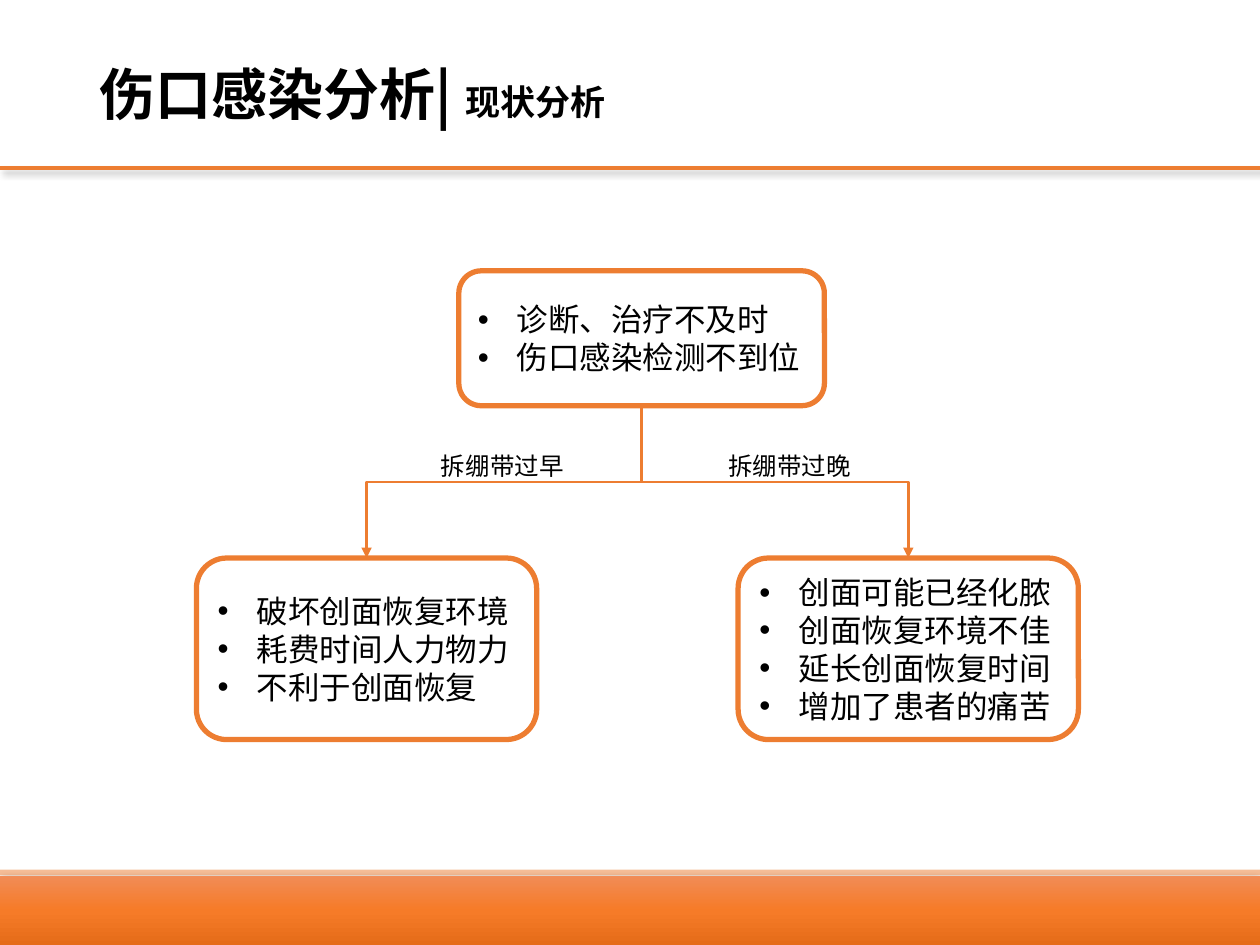
from copy import deepcopy
from dataclasses import dataclass

from lxml.etree import SubElement
from pptx import Presentation
from pptx.dml.color import RGBColor
from pptx.enum.shapes import MSO_CONNECTOR, MSO_SHAPE
from pptx.enum.text import MSO_ANCHOR, MSO_AUTO_SIZE, PP_ALIGN
from pptx.oxml.ns import qn
from pptx.util import Cm, Pt

TITLE_ONLY = 5
BOTTOM_SITE, TOP_SITE = 2, 0


@dataclass(frozen=True)
class Theme:
    accent: str = "ED7D31"
    ink: str = "000000"
    paper: str = "FFFFFF"
    footer_stops: tuple = ((0, "F18C57"), (0.5, "F67B28"), (1, "E56C19"))
    latin: str = "Calibri"
    chinese: str = "Noto Sans CJK SC"
    title_size: int = 32
    subtitle_size: int = 20
    body_size: int = 18
    label_size: int = 14


def rgb(value):
    return RGBColor.from_string(value)


class SlideBuilder:
    def __init__(self, page, theme):
        self.page = page
        self.theme = theme

    def style_span(self, span, size, latin, bold=False):
        span.font.size = Pt(size)
        span.font.name = latin
        span.font.bold = bold
        span.font.color.rgb = rgb(self.theme.ink)
        east_asian = SubElement(span.font._element, qn("a:ea"))
        east_asian.set("typeface", self.theme.chinese)

    def set_shadow(self, shape, opacity, blur, distance, angle):
        """Add an outer shadow: opacity in percent, lengths in points."""
        shape.shadow.inherit = False
        effects = shape._element.spPr.find(qn("a:effectLst"))
        outer = SubElement(effects, qn("a:outerShdw"), blurRad=str(Pt(blur)),
                           dist=str(Pt(distance)), dir=str(angle * 60000),
                           algn="t", rotWithShape="0")
        color = SubElement(outer, qn("a:srgbClr"), val=self.theme.ink)
        SubElement(color, qn("a:alpha"), val=str(opacity * 1000))

    def title(self, heading, subtitle, left, top, width, height):
        box = self.page.shapes.title
        box.left, box.top, box.width, box.height = left, top, width, height
        frame = box.text_frame
        frame.vertical_anchor = MSO_ANCHOR.MIDDLE
        frame.auto_size = MSO_AUTO_SIZE.NONE
        para = frame.paragraphs[0]
        para.alignment = PP_ALIGN.LEFT
        para.line_spacing = 0.9
        sizes = self.theme.title_size, self.theme.subtitle_size
        for text, size in zip((heading, subtitle), sizes):
            span = para.add_run()
            span.text = text
            self.style_span(span, size, self.theme.chinese, bold=True)

    def header_rule(self, top, width):
        rule = self.page.shapes.add_connector(
            MSO_CONNECTOR.STRAIGHT, 0, top, width, top)
        rule.line.color.rgb = rgb(self.theme.accent)
        rule.line.width = Pt(2.25)
        effects = SubElement(rule._element.spPr, qn("a:effectLst"))
        outer = SubElement(effects, qn("a:outerShdw"), blurRad=str(Pt(4)),
                           dist=str(Pt(3)), dir=str(45 * 60000),
                           algn="tl", rotWithShape="0")
        color = SubElement(outer, qn("a:srgbClr"), val=self.theme.ink)
        SubElement(color, qn("a:alpha"), val="40000")

    def bar(self, top, width, height):
        bar = self.page.shapes.add_shape(
            MSO_SHAPE.RECTANGLE, 0, top, width, height)
        bar.shadow.inherit = False
        bar.line.fill.background()
        return bar

    def gradient_bar(self, top, width, height):
        bar = self.bar(top, width, height)
        self.set_shadow(bar, opacity=63, blur=4.5, distance=1.5, angle=90)
        bar.fill.gradient()
        bar.fill.gradient_angle = 270
        stop_list = bar._element.spPr.find(".//" + qn("a:gsLst"))
        stop_list.insert(1, deepcopy(stop_list[0]))
        for stop, (position, color) in zip(bar.fill.gradient_stops,
                                           self.theme.footer_stops):
            stop.position = position
            stop.color.rgb = rgb(color)

    def translucent_bar(self, top, width, height):
        bar = self.bar(top, width, height)
        bar.fill.solid()
        bar.fill.fore_color.rgb = rgb(self.theme.accent)
        color = bar._element.spPr.find(".//" + qn("a:srgbClr"))
        SubElement(color, qn("a:alpha"), val="50000")

    def bullet_box(self, items, left, top, width, height):
        box = self.page.shapes.add_shape(
            MSO_SHAPE.ROUNDED_RECTANGLE, left, top, width, height)
        box.shadow.inherit = False
        box.fill.solid()
        box.fill.fore_color.rgb = rgb(self.theme.paper)
        box.line.color.rgb = rgb(self.theme.accent)
        box.line.width = Pt(3)
        frame = box.text_frame
        frame.text = "\n".join(items)
        frame.word_wrap = True
        frame.vertical_anchor = MSO_ANCHOR.MIDDLE
        indent = Cm(0.79)
        for para in frame.paragraphs:
            para.alignment = PP_ALIGN.LEFT
            properties = para._p.get_or_add_pPr()
            properties.set("marL", str(indent))
            properties.set("indent", str(-indent))
            SubElement(properties, qn("a:buFont"), typeface="Arial")
            SubElement(properties, qn("a:buChar"), char="•")
            self.style_span(para.runs[0], self.theme.body_size, self.theme.latin)
        return box

    def branch(self, parent, child):
        """Join two boxes with an elbow arrow that leaves downwards.

        An elbow runs sideways first, so it is laid flat and turned a quarter.
        """
        arrow = self.page.shapes.add_connector(MSO_CONNECTOR.ELBOW, 0, 0, 0, 0)
        arrow.begin_connect(parent, BOTTOM_SITE)
        arrow.end_connect(child, TOP_SITE)
        start_x = parent.left + parent.width // 2
        end_x = child.left + child.width // 2
        start_y, end_y = parent.top + parent.height, child.top
        width, height = end_y - start_y, abs(end_x - start_x)
        arrow.left = (start_x + end_x - width) // 2
        arrow.top = (start_y + end_y - height) // 2
        arrow.width, arrow.height = width, height
        to_right = end_x > start_x
        transform = arrow._element.spPr.find(qn("a:xfrm"))
        transform.set("rot", str((270 if to_right else 90) * 60000))
        transform.set("flipH", "1" if to_right else "0")
        transform.set("flipV", "0")
        arrow.line.color.rgb = rgb(self.theme.accent)
        arrow.line.width = Pt(1.5)
        SubElement(arrow.line._get_or_add_ln(), qn("a:tailEnd"), type="triangle")
        SubElement(arrow._element.spPr, qn("a:effectLst"))

    def label(self, text, left, top, width, height):
        box = self.page.shapes.add_textbox(left, top, width, height)
        frame = box.text_frame
        frame.text = text
        frame.word_wrap = False
        frame.auto_size = MSO_AUTO_SIZE.SHAPE_TO_FIT_TEXT
        self.style_span(frame.paragraphs[0].runs[0],
                        self.theme.label_size, self.theme.latin)


def main():
    deck = Presentation()
    deck.slide_width, deck.slide_height = Cm(25.4), Cm(19.05)
    page = deck.slides.add_slide(deck.slide_layouts[TITLE_ONLY])
    builder = SlideBuilder(page, Theme())

    builder.header_rule(Cm(3.38), deck.slide_width)
    builder.gradient_bar(Cm(17.65), deck.slide_width, Cm(1.4))
    builder.translucent_bar(Cm(17.53), deck.slide_width, Cm(0.12))
    builder.title("伤口感染分析| ", "现状分析", Cm(1.75), Cm(0.56), Cm(21.9), Cm(2.82))

    cause = builder.bullet_box(["诊断、治疗不及时", "伤口感染检测不到位"],
                               Cm(9.25), Cm(5.46), Cm(7.37), Cm(2.72))
    outcomes = (
        ("拆绷带过早", Cm(8.64), Cm(3.96),
         ["破坏创面恢复环境", "耗费时间人力物力", "不利于创面恢复"]),
        ("拆绷带过晚", Cm(14.43), Cm(14.88),
         ["创面可能已经化脓", "创面恢复环境不佳", "延长创面恢复时间", "增加了患者的痛苦"]),
    )
    for condition, label_left, box_left, effects in outcomes:
        outcome = builder.bullet_box(effects, box_left, Cm(11.25), Cm(6.86), Cm(3.66))
        builder.branch(cause, outcome)
        builder.label(condition, label_left, Cm(8.97), Cm(3), Cm(0.86))

    deck.save("out.pptx")


if __name__ == "__main__":
    main()
